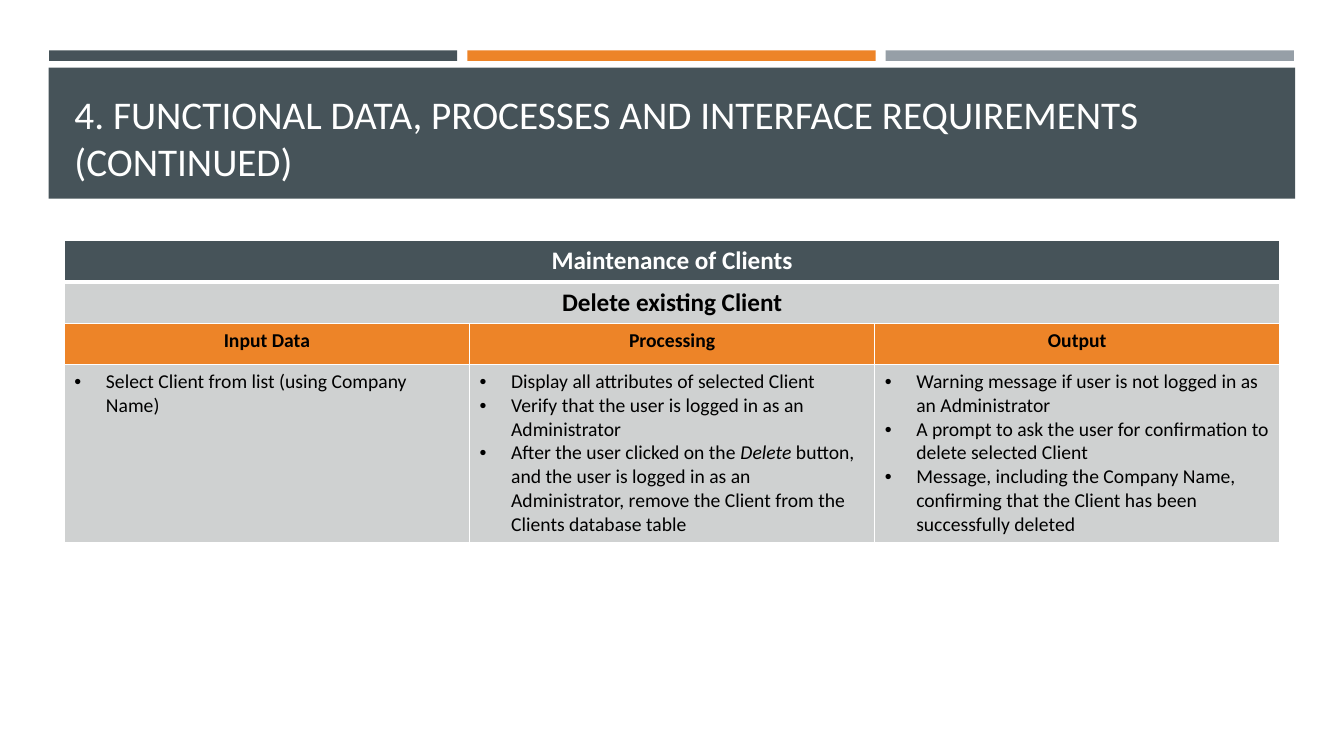
from lxml import etree
from pptx import Presentation
from pptx.dml.color import RGBColor
from pptx.enum import shapes, text
from pptx.oxml import ns
from pptx.util import Pt

SLATE = RGBColor(0x46, 0x53, 0x59)
ORANGE = RGBColor(0xED, 0x84, 0x28)
STEEL = RGBColor(0x96, 0x9F, 0xA7)
PALE = RGBColor(0xCF, 0xD1, 0xD1)
WHITE = RGBColor(255, 255, 255)
BLACK = RGBColor(0, 0, 0)


def style(para, size, color, bold=False):
    font = para.font
    font.name, font.size, font.bold = "Calibri", Pt(size), bold
    font.color.rgb = color


def paint(cell, fill, base=1):
    # Borders come before the fill in the cell properties
    props = cell._tc.get_or_add_tcPr()
    for side, width in (("L", 1), ("R", 1), ("T", 1), ("B", base)):
        line = etree.SubElement(props, ns.qn("a:ln" + side), w=str(Pt(width)))
        solid = etree.SubElement(line, ns.qn("a:solidFill"))
        etree.SubElement(solid, ns.qn("a:srgbClr"), val=str(WHITE))
    cell.fill.solid()
    cell.fill.fore_color.rgb = fill


prs = Presentation()
prs.slide_width, prs.slide_height = Pt(960), Pt(540)
slide = prs.slides.add_slide(prs.slide_layouts[5])

# Accent bars and title band
bars = [(35 + 298.8 * i, 36, 291.6, 7.5, color)
        for i, color in enumerate((SLATE, ORANGE, STEEL))]
for x, y, w, h, color in bars + [(34.7, 48.3, 890.5, 93.7, SLATE)]:
    bar = slide.shapes.add_shape(
        shapes.MSO_SHAPE.RECTANGLE, Pt(x), Pt(y), Pt(w), Pt(h))
    bar.shadow.inherit = False
    bar.fill.solid()
    bar.fill.fore_color.rgb = color
    bar.line.fill.background()

# Title, raised above the band
title = slide.shapes.title
title.left, title.top, title.width, title.height = Pt(46), Pt(55.4), Pt(868), Pt(80)
frame = title.text_frame
frame.text = "4. FUNCTIONAL DATA, PROCESSES AND INTERFACE REQUIREMENTS (CONTINUED)"
frame.word_wrap = True
frame.auto_size = text.MSO_AUTO_SIZE.NONE
frame.vertical_anchor = text.MSO_ANCHOR.BOTTOM
frame.paragraphs[0].alignment = text.PP_ALIGN.LEFT
style(frame.paragraphs[0], 28, WHITE)
slide.shapes._spTree.append(title._element)

# Table grid
heights = (29.5, 29.5, 29.5, 126.8)
table = slide.shapes.add_table(
    4, 3, Pt(46), Pt(172), Pt(868.2), Pt(sum(heights))).table
for row, height in zip(table.rows, heights):
    row.height = Pt(height)
for col in table.columns:
    col.width = Pt(289.4)
fills = ((SLATE, 3), (PALE, 1), (ORANGE, 1), (PALE, 1))
for r, (fill, base) in enumerate(fills):
    for c in range(3):
        paint(table.cell(r, c), fill, base)
for r in (0, 1):
    table.cell(r, 0).merge(table.cell(r, 2))

# Headings
heads = (
    (0, 0, "Maintenance of Clients", 18, WHITE),
    (1, 0, "Delete existing Client", 18, BLACK),
    (2, 0, "Input Data", 14, BLACK),
    (2, 1, "Processing", 14, BLACK),
    (2, 2, "Output", 14, BLACK),
)
for r, c, words, size, color in heads:
    cell = table.cell(r, c)
    cell.text = words
    para = cell.text_frame.paragraphs[0]
    para.alignment = text.PP_ALIGN.CENTER
    style(para, size, color, True)

# Bulleted lists; odd parts between asterisks are italic
lists = (
    ("Select Client from list (using Company Name)",),
    ("Display all attributes of selected Client",
     "Verify that the user is logged in as an Administrator",
     "After the user clicked on the *Delete* button, and the user is logged in "
     "as an Administrator, remove the Client from the Clients database table"),
    ("Warning message if user is not logged in as an Administrator",
     "A prompt to ask the user for confirmation to delete selected Client",
     "Message, including the Company Name, confirming that the Client has been "
     "successfully deleted"),
)
for c, items in enumerate(lists):
    frame = table.cell(3, c).text_frame
    for i, item in enumerate(items):
        para = frame.add_paragraph() if i else frame.paragraphs[0]
        props = para._p.get_or_add_pPr()
        props.set("marL", str(Pt(22.5)))
        props.set("indent", str(-Pt(22.5)))
        etree.SubElement(props, ns.qn("a:buFont"), typeface="Arial")
        etree.SubElement(props, ns.qn("a:buChar"), char="•")
        style(para, 14, BLACK)
        for n, part in enumerate(item.split("*")):
            run = para.add_run()
            run.text = part
            if n % 2:
                run.font.italic = True

prs.save("out.pptx")
